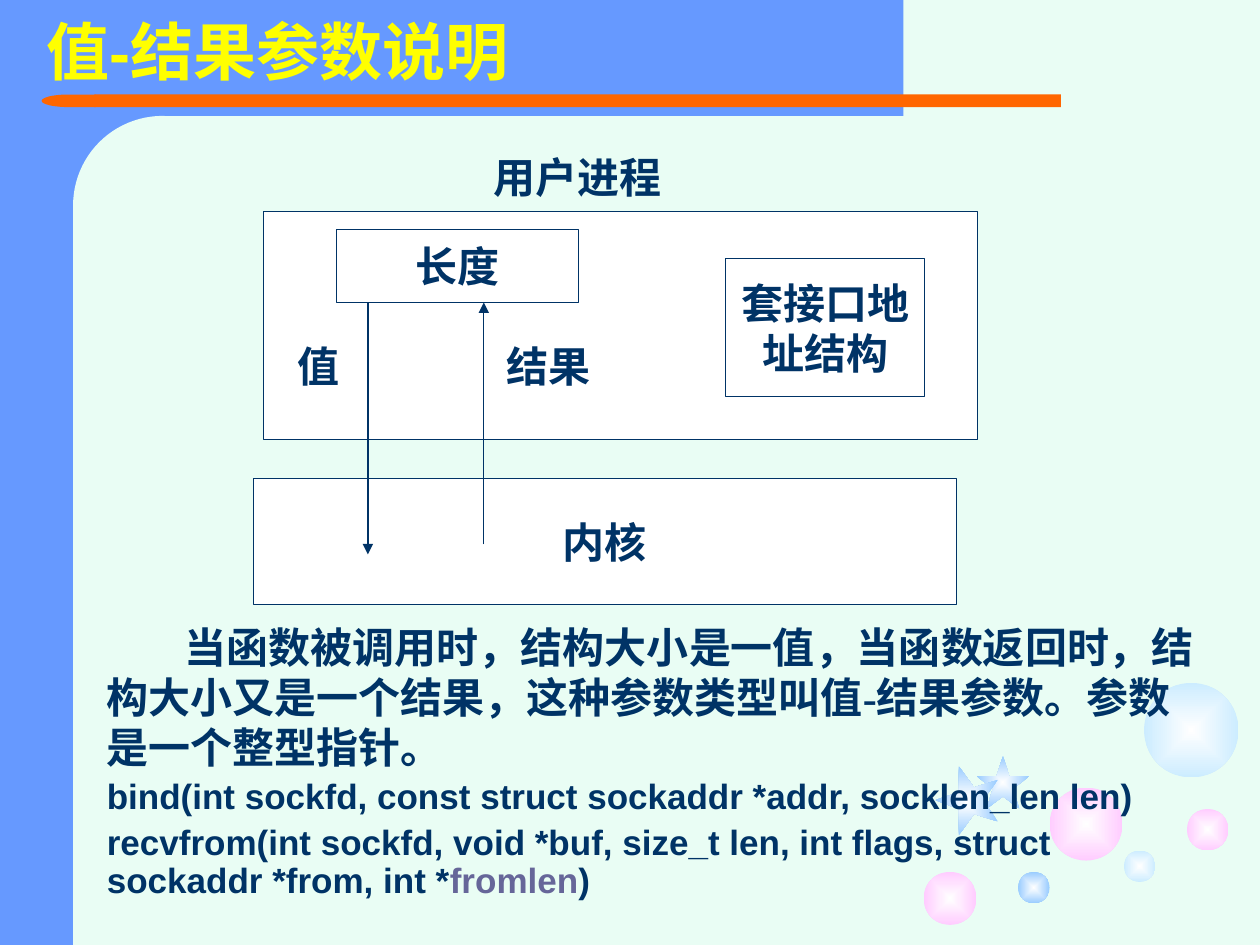
"""Build the slide on value-result parameters of socket functions."""
from pptx import Presentation, util as u
from pptx.dml.color import RGBColor
from pptx.enum import shapes, text
from pptx.oxml import parse_xml
from pptx.oxml.ns import nsdecls, qn

PX = 9144
MINT = RGBColor(0xE9, 0xFD, 0xF4)
BLUE = RGBColor(0x66, 0x99, 0xFF)
ORANGE = RGBColor(0xFF, 0x66, 0x00)
PINK = RGBColor(0xFF, 0xCC, 0xFF)
PALE = RGBColor(0xCC, 0xEC, 0xFF)
SKY = RGBColor(0x99, 0xCC, 0xFF)
WHITE = RGBColor(0xFF, 0xFF, 0xFF)
NAVY = RGBColor(0x00, 0x33, 0x66)
VIOLET = RGBColor(0x66, 0x66, 0x99)
YELLOW = RGBColor(0xFF, 0xFF, 0x00)
KIND = shapes.MSO_SHAPE

deck = Presentation()
deck.slide_width, deck.slide_height = 1000 * PX, 750 * PX
page = deck.slides.add_slide(deck.slide_layouts[6])
page.background.fill.solid()
page.background.fill.fore_color.rgb = MINT


def paint(shape, color, glow=False):
    shape.shadow.inherit = False
    shape.line.fill.background()
    if not glow:
        shape.fill.solid()
        shape.fill.fore_color.rgb = color
        return
    shape.fill.gradient()
    for stop, shade in zip(shape.fill.gradient_stops, (WHITE, color)):
        stop.color.rgb = shade
    gradient = shape.element.spPr.find(qn("a:gradFill"))
    gradient.remove(gradient.find(qn("a:lin")))
    gradient.append(parse_xml(
        f'<a:path {nsdecls("a")} path="rect">'
        '<a:fillToRect l="50000" t="50000" r="50000" b="50000"/></a:path>'))


def style(para, size, font, color):
    para.font.size = u.Pt(size)
    para.font.name = font
    para.font.bold = True
    para.font.color.rgb = color


for kind, color, *place in (
    (KIND.RECTANGLE, BLUE, 0, 0, 125, 750),
    (KIND.RECTANGLE, BLUE, 50, 0, 667, 92),
    (KIND.ROUNDED_RECTANGLE, MINT, 58, 92, 142, 575),
    (KIND.RECTANGLE, ORANGE, 75, 75, 767, 10),
    (KIND.FLOWCHART_DELAY, ORANGE, 33, 75, 43, 10),
    (KIND.RECTANGLE, MINT, 58, 592, 142, 158),
):
    panel = page.shapes.add_shape(kind, *(n * PX for n in place))
    paint(panel, color)
    if kind == KIND.ROUNDED_RECTANGLE:
        panel.adjustments[0] = 0.5
    if kind == KIND.FLOWCHART_DELAY:
        panel.rotation = 180

for left, top, size, color in (
    (833, 625, 58, PINK), (733, 692, 42, PINK), (892, 675, 25, PALE),
    (942, 642, 33, PINK), (908, 542, 75, PALE), (808, 692, 25, SKY),
):
    bubble = page.shapes.add_shape(KIND.OVAL, left * PX, top * PX, size * PX, size * PX)
    paint(bubble, color, glow=True)

for start, *points in (
    ((775, 616), (791, 616), (796, 600), (801, 616), (817, 616),
     (804, 626), (809, 642), (796, 632), (783, 642), (788, 626)),
    ((761, 663), (761, 642), (742, 635), (761, 629), (761, 608),
     (773, 625), (792, 619), (780, 635), (792, 652), (773, 646)),
):
    outline = page.shapes.build_freeform(*start, scale=PX)
    outline.add_line_segments(points, close=True)
    paint(outline.convert_to_shape(), SKY, glow=True)

for label, wrap, *place in (
    ("", False, 209, 168, 567, 181),
    ("内核", False, 201, 380, 558, 100),
    ("长度", False, 267, 182, 192, 58),
    ("套接口地址结构", True, 576, 205, 158, 110),
):
    box = page.shapes.add_shape(KIND.RECTANGLE, *(n * PX for n in place))
    paint(box, WHITE)
    box.line.color.rgb = NAVY
    box.line.width = u.Pt(0.75)
    if label:
        frame = box.text_frame
        frame.word_wrap = wrap
        frame.vertical_anchor = text.MSO_ANCHOR.MIDDLE
        para = frame.paragraphs[0]
        para.text = label
        para.alignment = text.PP_ALIGN.CENTER
        style(para, 24, "Times New Roman", NAVY)

for x, start, end in ((292, 240, 440), (384, 432, 240)):
    arrow = page.shapes.add_connector(
        shapes.MSO_CONNECTOR.STRAIGHT, x * PX, start * PX, x * PX, end * PX)
    arrow.line.color.rgb = NAVY
    arrow.line.width = u.Pt(0.75)
    arrow.line._get_or_add_ln().append(
        parse_xml(f'<a:tailEnd {nsdecls("a")} type="triangle"/>'))
    arrow.element.spPr.append(parse_xml(f'<a:effectLst {nsdecls("a")}/>'))

for label, size, font, color, *place in (
    ("用户进程", 24, "Times New Roman", NAVY, 382, 115, 192, 50),
    ("结果", 24, "Times New Roman", NAVY, 392, 265, 117, 50),
    ("值", 24, "Times New Roman", NAVY, 226, 265, 67, 50),
    ("当函数被调用时，结构大小是一值，当函数返回时，结构大小又是一个结果，"
     "这种参数类型叫值-结果参数。参数是一个整型指针。",
     24, "Times New Roman", NAVY, 75, 488, 890, 232),
    ("值-结果参数说明", 36, "Arial", YELLOW, 27, 5, 416, 70),
):
    box = page.shapes.add_textbox(*(n * PX for n in place))
    frame = box.text_frame
    frame.word_wrap = True
    frame.auto_size = text.MSO_AUTO_SIZE.SHAPE_TO_FIT_TEXT
    para = frame.paragraphs[0]
    para.text = label
    style(para, size, font, color)
    if label.startswith("当"):
        para._p.get_or_add_pPr().set("indent", str(62 * PX))
        for spacing, pieces in (
            (0.85, ["bind(int sockfd, const struct sockaddr *addr, socklen_len len)"]),
            (0.9, ["recvfrom(int sockfd, void *buf, size_t len, int flags, "
                   "struct sockaddr *from, int *", "fromlen", ")"]),
        ):
            para = frame.add_paragraph()
            para.line_spacing = spacing
            para.space_before = u.Pt(5)
            style(para, 20, "Arial", NAVY)
            for piece in pieces:
                span = para.add_run()
                span.text = piece
                if piece == "fromlen":
                    span.font.color.rgb = VIOLET

deck.save("out.pptx")
